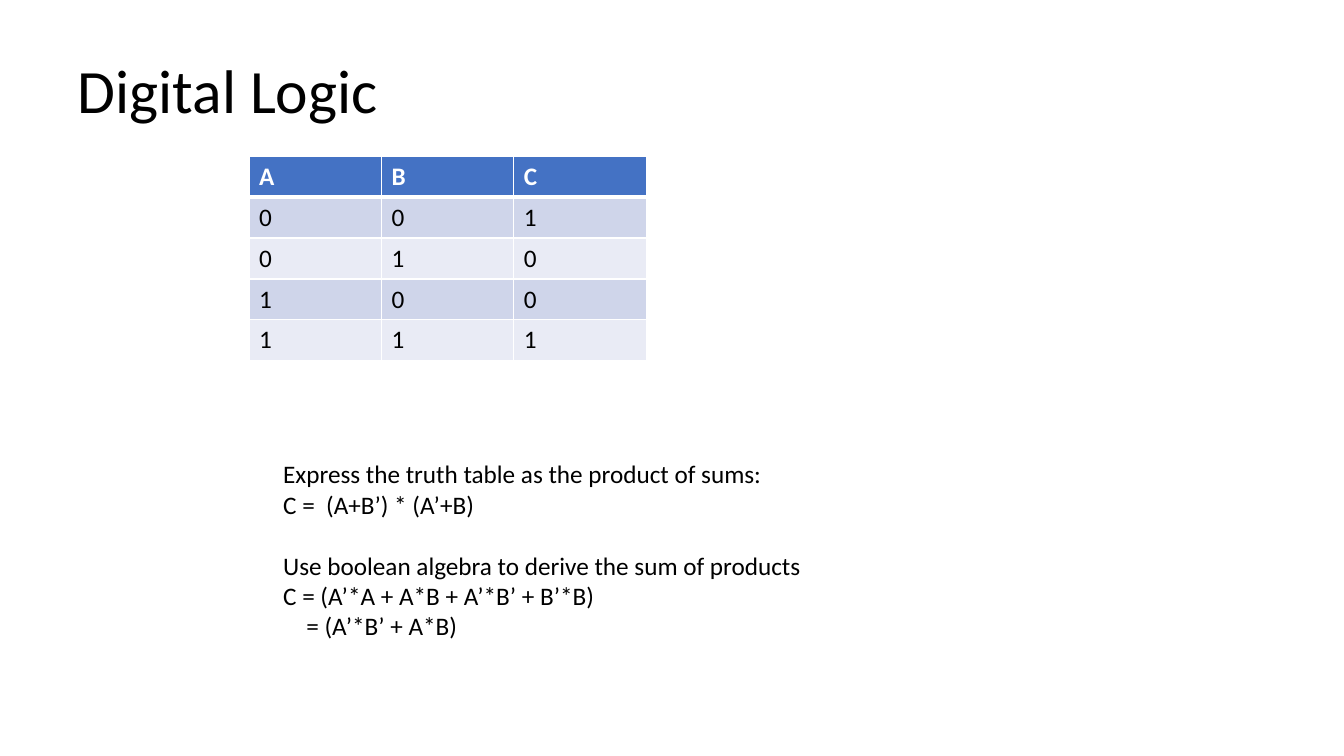
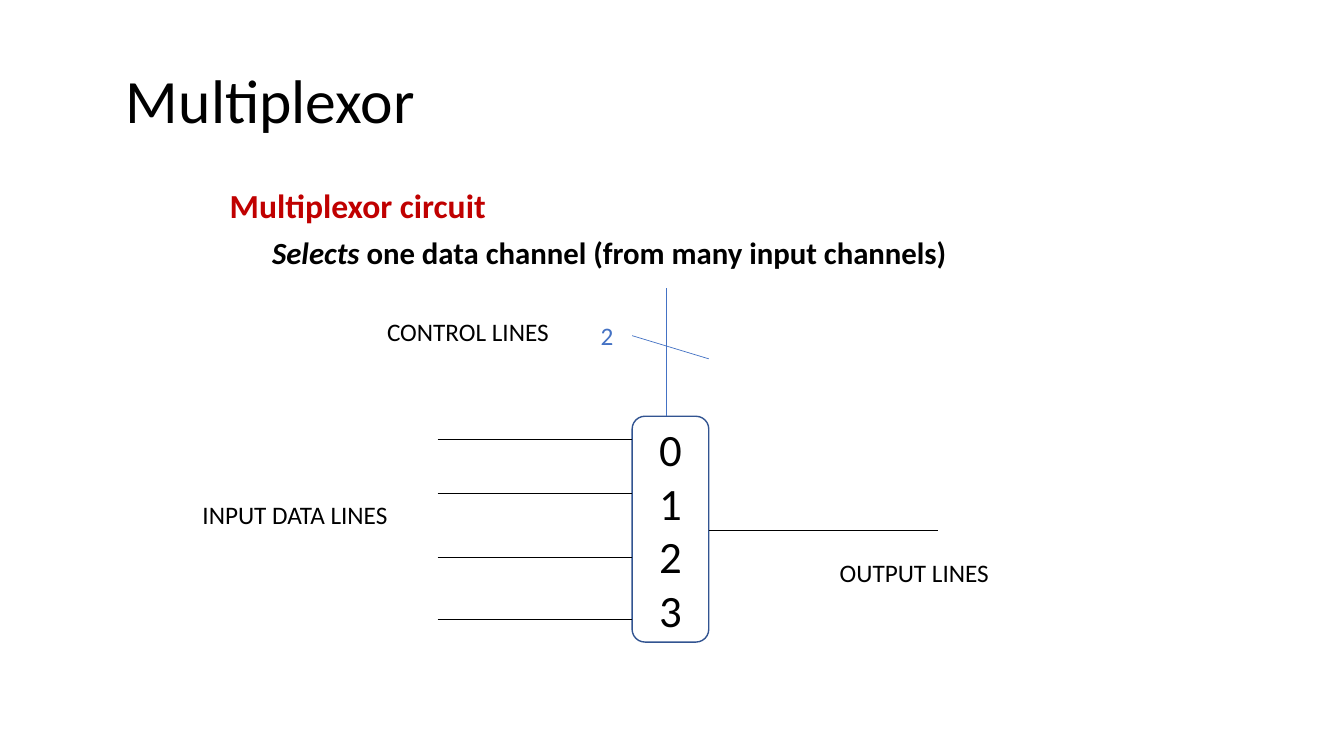
from dataclasses import dataclass

from lxml.etree import SubElement
from pptx import Presentation
from pptx.dml.color import RGBColor
from pptx.enum.shapes import MSO_CONNECTOR, MSO_SHAPE
from pptx.enum.text import MSO_ANCHOR, PP_ALIGN
from pptx.oxml.ns import qn
from pptx.slide import Slide
from pptx.table import _Cell as Cell
from pptx.text.text import TextFrame
from pptx.util import Inches, Pt

FONT = "Calibri"
BLACK = RGBColor(0x00, 0x00, 0x00)
WHITE = RGBColor(0xFF, 0xFF, 0xFF)
BLUE = RGBColor(0x44, 0x72, 0xC4)
DARK_BLUE = RGBColor(0x32, 0x54, 0x91)
RED = RGBColor(0xC0, 0x00, 0x00)
BAND_COLORS = (RGBColor(0xCF, 0xD5, 0xEA), RGBColor(0xE9, 0xEB, 0xF5))

TRUTH_TABLE = ("ABC", "001", "010", "100", "111")


@dataclass(frozen=True)
class Run:
    text: str
    size: float = 18
    color: RGBColor = BLACK
    bold: bool = False
    italic: bool = False


@dataclass(frozen=True)
class Paragraph:
    runs: tuple[Run, ...]
    indent: float = 0
    space_before: float = 0
    line_spacing: float = 1
    alignment: PP_ALIGN = PP_ALIGN.LEFT


@dataclass(frozen=True)
class Wire:
    start: tuple[float, float]
    end: tuple[float, float]
    color: RGBColor = BLACK


@dataclass(frozen=True)
class Label:
    text: str
    left: float
    top: float
    width: float
    color: RGBColor = BLACK


DERIVATION = (
    Paragraph((Run("Express the truth table as the product of sums:"),)),
    Paragraph((Run("C =  (A+B’) * (A’+B)"),)),
    Paragraph((Run("Use boolean algebra to derive the sum of products"),), space_before=22),
    Paragraph((Run("C = (A’*A + A*B + A’*B’ + B’*B)"),)),
    Paragraph((Run("= (A’*B’ + A*B)"),), indent=0.23),
)

DEFINITION = (
    Paragraph((Run("Multiplexor circuit", 24, RED, bold=True),), line_spacing=0.9),
    Paragraph(
        (
            Run("Selects", 22, bold=True, italic=True),
            Run(" one data channel (from many input channels)", 22, bold=True),
        ),
        indent=0.42, space_before=8.4, line_spacing=0.9,
    ),
)

MUX_LEFT, MUX_TOP, MUX_WIDTH, MUX_HEIGHT = 6.27, 4.13, 0.76, 2.24
MUX_RIGHT = MUX_LEFT + MUX_WIDTH
INPUT_HEIGHTS = (4.36, 4.89, 5.53, 6.14)

WIRES = (
    *(Wire((4.34, y), (MUX_LEFT, y)) for y in INPUT_HEIGHTS),
    Wire((6.61, 2.86), (6.61, MUX_TOP), BLUE),
    Wire((MUX_LEFT, 3.33), (MUX_RIGHT, 3.56), BLUE),
    Wire((MUX_RIGHT, 5.26), (9.3, 5.26)),
)

LABELS = (
    Label("2", 5.86, 3.13, 0.33, BLUE),
    Label("OUTPUT LINES", 8.23, 5.48, 1.69),
    Label("INPUT DATA LINES", 1.91, 4.9, 2.05),
    Label("CONTROL LINES", 3.74, 3.09, 1.82),
)


def write_text(frame: TextFrame, paragraphs: tuple[Paragraph, ...]) -> None:
    for index, content in enumerate(paragraphs):
        paragraph = frame.add_paragraph() if index else frame.paragraphs[0]
        paragraph_format = {
            "alignment": content.alignment,
            "line_spacing": content.line_spacing,
            "space_before": Pt(content.space_before),
        }
        for attribute, value in paragraph_format.items():
            setattr(paragraph, attribute, value)
        if content.indent:
            paragraph._p.get_or_add_pPr().set("marL", str(Inches(content.indent)))
        for part in content.runs:
            run = paragraph.add_run()
            run.text = part.text
            run.font.color.rgb = part.color
            run_format = {
                "name": FONT, "size": Pt(part.size),
                "bold": part.bold, "italic": part.italic,
            }
            for attribute, value in run_format.items():
                setattr(run.font, attribute, value)


def add_text(slide: Slide, left: float, top: float, width: float, height: float,
             paragraphs: tuple[Paragraph, ...], **frame_format) -> None:
    """Add a text box; frame_format holds text frame attributes."""
    box = slide.shapes.add_textbox(Inches(left), Inches(top), Inches(width), Inches(height))
    for attribute, value in frame_format.items():
        setattr(box.text_frame, attribute, value)
    write_text(box.text_frame, paragraphs)


def add_title(slide: Slide, text: str, left: float, top: float) -> None:
    add_text(slide, left, top, 11.3, 1.25,
             (Paragraph((Run(text, 44),), line_spacing=0.9),),
             word_wrap=True, vertical_anchor=MSO_ANCHOR.MIDDLE, margin_left=0)


def set_borders(cell: Cell, bottom_width: float) -> None:
    properties = cell._tc.get_or_add_tcPr()
    widths = {"lnL": 1, "lnR": 1, "lnT": 1, "lnB": bottom_width}
    for position, (tag, width) in enumerate(widths.items()):
        border = SubElement(properties, qn(f"a:{tag}"), w=str(Pt(width)))
        fill = SubElement(border, qn("a:solidFill"))
        SubElement(fill, qn("a:srgbClr"), val=str(WHITE))
        properties.insert(position, border)


def add_truth_table(slide: Slide) -> None:
    table = slide.shapes.add_table(
        len(TRUTH_TABLE), len(TRUTH_TABLE[0]),
        Inches(2.47), Inches(1.55), Inches(3.94), Inches(2.03),
    ).table
    for row, values in enumerate(TRUTH_TABLE):
        is_header = row == 0
        for column, value in enumerate(values):
            cell = table.cell(row, column)
            cell.fill.solid()
            cell.fill.fore_color.rgb = BLUE if is_header else BAND_COLORS[(row - 1) % 2]
            # The header rule is shared with the top edge of the first data row.
            set_borders(cell, 3 if is_header else 1)
            if row == 1:
                cell._tc.tcPr.find(qn("a:lnT")).set("w", str(Pt(3)))
            text = Run(value, color=WHITE if is_header else BLACK, bold=is_header)
            write_text(cell.text_frame, (Paragraph((text,)),))


def add_wire(slide: Slide, wire: Wire) -> None:
    ends = (Inches(length) for length in (*wire.start, *wire.end))
    line = slide.shapes.add_connector(MSO_CONNECTOR.STRAIGHT, *ends)
    line.line.color.rgb = wire.color
    line.line.width = Pt(0.5)
    SubElement(line._element.spPr, qn("a:effectLst"))


def add_multiplexor(slide: Slide) -> None:
    mux = slide.shapes.add_shape(
        MSO_SHAPE.ROUNDED_RECTANGLE,
        Inches(MUX_LEFT), Inches(MUX_TOP), Inches(MUX_WIDTH), Inches(MUX_HEIGHT),
    )
    mux.shadow.inherit = False
    mux.fill.background()
    mux.line.color.rgb = DARK_BLUE
    mux.line.width = Pt(1)
    mux.text_frame.vertical_anchor = MSO_ANCHOR.MIDDLE
    write_text(mux.text_frame, tuple(
        Paragraph((Run(str(channel), 32),), alignment=PP_ALIGN.CENTER)
        for channel in range(len(INPUT_HEIGHTS))
    ))


def build_logic_slide(slide: Slide) -> None:
    add_title(slide, "Digital Logic", 0.77, 0.3)
    add_truth_table(slide)
    add_text(slide, 2.71, 4.5, 5.41, 1.92, DERIVATION, word_wrap=False)


def build_multiplexor_slide(slide: Slide) -> None:
    add_text(slide, 2.18, 1.88, 8.72, 0.9, DEFINITION, word_wrap=True, margin_top=0)
    add_title(slide, "Multiplexor", 1.25, 0.4)
    add_multiplexor(slide)
    for wire in WIRES:
        add_wire(slide, wire)
    for label in LABELS:
        add_text(slide, label.left, label.top, label.width, 0.4,
                 (Paragraph((Run(label.text, color=label.color),)),), word_wrap=False)


def main() -> None:
    presentation = Presentation()
    presentation.slide_width = Inches(13.33)
    presentation.slide_height = Inches(7.5)
    blank = presentation.slide_layouts[6]
    for build in (build_logic_slide, build_multiplexor_slide):
        build(presentation.slides.add_slide(blank))
    presentation.save("out.pptx")


if __name__ == "__main__":
    main()
